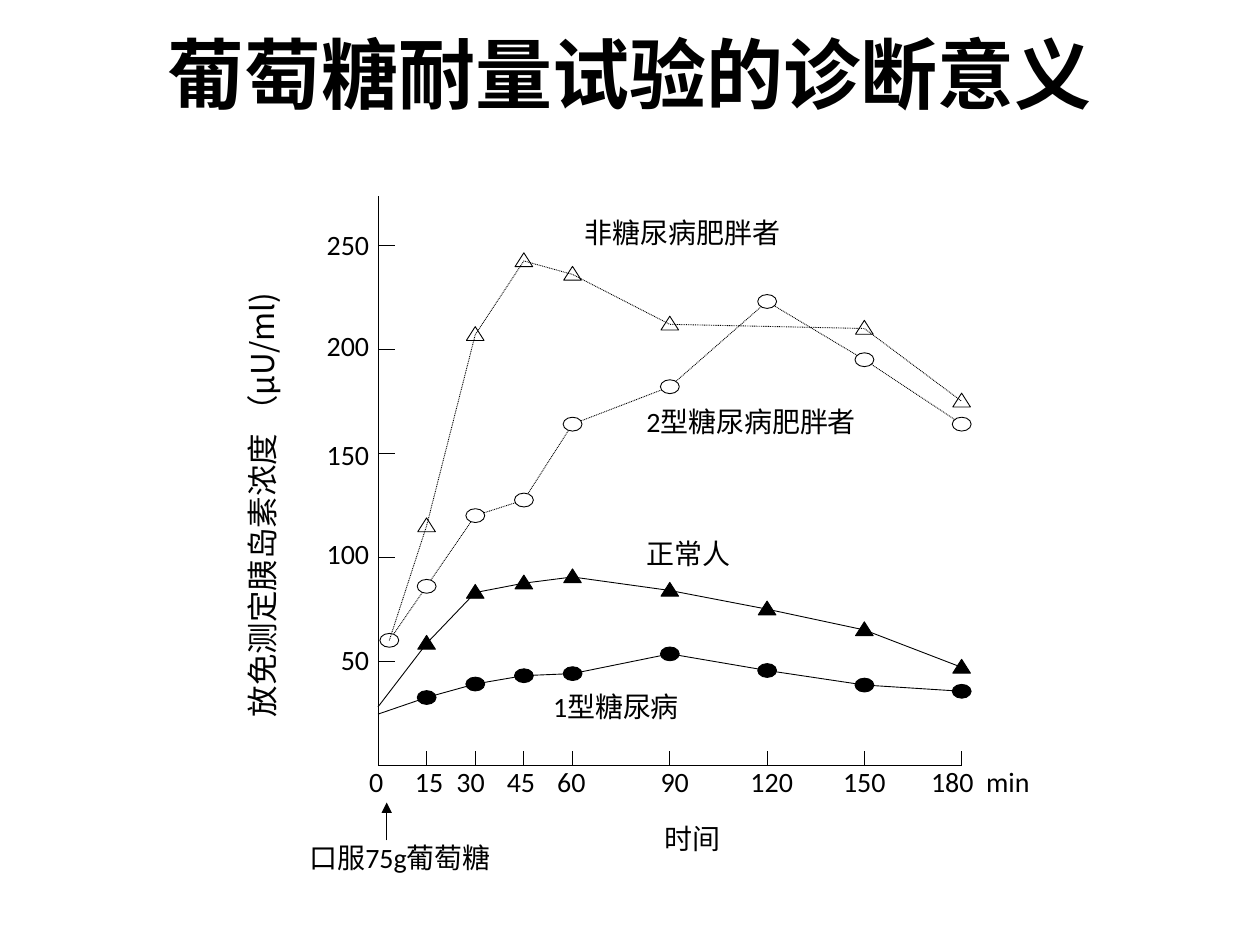
"""Build a slide plotting insulin response curves of the glucose tolerance test."""
from dataclasses import dataclass

from lxml import etree
from pptx import Presentation
from pptx.dml.color import RGBColor
from pptx.enum.dml import MSO_LINE
from pptx.enum.lang import MSO_LANGUAGE_ID
from pptx.enum.shapes import MSO_CONNECTOR, MSO_SHAPE
from pptx.enum.text import MSO_ANCHOR, PP_ALIGN
from pptx.oxml.ns import qn
from pptx.util import Pt

LEFT, CENTER, RIGHT = PP_ALIGN.LEFT, PP_ALIGN.CENTER, PP_ALIGN.RIGHT
TOP, MIDDLE = MSO_ANCHOR.TOP, MSO_ANCHOR.MIDDLE
OVAL, TRIANGLE = MSO_SHAPE.OVAL, MSO_SHAPE.ISOSCELES_TRIANGLE
STRAIGHT = MSO_CONNECTOR.STRAIGHT
DOTTED = MSO_LINE.ROUND_DOT
CHINESE = MSO_LANGUAGE_ID.SIMPLIFIED_CHINESE


@dataclass(frozen=True)
class Theme:
    ink: RGBColor = RGBColor(0, 0, 0)
    paper: RGBColor = RGBColor(255, 255, 255)
    font: str = "Calibri"
    axis_font: str = "Arial"
    unit_font: str = "Noto Sans CJK SC"
    title_size: float = 44
    axis_size: float = 18
    label_size: float = 16
    line_width: float = 0.5


@dataclass(frozen=True)
class Label:
    text: str
    left: float
    top: float
    width: float
    height: float = 21.6
    align: PP_ALIGN = LEFT


@dataclass(frozen=True)
class Curve:
    points: tuple
    marker: MSO_SHAPE
    filled: bool
    dotted: bool
    marks_start: bool = False


THEME = Theme()
ORIGIN_X, ORIGIN_Y = 216, 437.2
POINTS_PER_MINUTE, POINTS_PER_UNIT = 1.853, 1.188
AXIS_TOP, AXIS_RIGHT = 112.3, 550
TICK_WIDTH, TICK_HEIGHT = 10, 8
MARKER_SIZES = {OVAL: (10.8, 7.9), TRIANGLE: (10.1, 7.9)}
TRIANGLE_LIFT = 0.7

MINUTES = (15, 30, 45, 60, 90, 120, 150, 180)
TIMES = (0, *MINUTES)
EARLY = 3.5

TYPE_2 = Curve(tuple(zip((EARLY, *MINUTES), (60, 86, 120, 127.5, 164, 182, 223, 195, 164))),
               OVAL, False, True, True)
TYPE_1 = Curve(tuple(zip(TIMES, (24.5, 32.5, 39, 43, 44, 53.5, 45.5, 38.5, 35.5))),
               OVAL, True, False)
NORMAL = Curve(tuple(zip(TIMES, (28, 58.5, 83, 87.5, 90.5, 84, 75, 65, 47))),
               TRIANGLE, True, False)
OBESE = Curve(((EARLY, 60), (15, 115), (30, 207), (45, 242.5), (60, 236),
               (90, 212), (150, 210), (180, 175)), TRIANGLE, False, True)

TIME_LABELS = [Label(text, center - 18, 437, 36, align=CENTER) for text, center in (
    ("15", 245.2), ("30", 268.9), ("45", 297.7), ("60", 326.5), ("90", 385.6),
    ("120", 441), ("150", 493.9), ("180", 544.2))]
VALUE_LABELS = [Label(text, 180.7, top, 30.2, align=RIGHT) for text, top in (
    ("50", 367.2), ("100", 306.7), ("150", 249.8), ("200", 187.9), ("250", 130.3))]
OTHER_LABELS = [
    Label("0", 211, 437, 17.3),
    Label("min", 563.5, 437, 50.7),
    Label("非糖尿病肥胖者", 334.1, 123.1, 140.4),
    Label("2型糖尿病肥胖者", 369.4, 231.1, 140.4),
    Label("正常人", 369.4, 306.7, 70.6),
    Label("1型糖尿病", 316.1, 393.8, 140.4),
    Label("口服75g葡萄糖", 158.4, 480.2, 140.4, align=CENTER),
    Label("时间", 369.4, 469.4, 52.6, align=CENTER),
]


def place(minute: float, value: float) -> tuple[float, float]:
    return ORIGIN_X + minute * POINTS_PER_MINUTE, ORIGIN_Y - value * POINTS_PER_UNIT


def style_span(span, size: float, font: str, bold: bool = False) -> None:
    span.font.size = Pt(size)
    span.font.name = font
    span.font.bold = bold
    span.font.color.rgb = THEME.ink
    span.font.language_id = CHINESE


def add_label(page, label: Label, size: float = THEME.label_size,
              bold: bool = False, anchor: MSO_ANCHOR = TOP) -> None:
    box = page.shapes.add_textbox(Pt(label.left), Pt(label.top), Pt(label.width), Pt(label.height))
    frame = box.text_frame
    frame.margin_left = frame.margin_right = frame.margin_top = frame.margin_bottom = 0
    frame.word_wrap = True
    frame.vertical_anchor = anchor
    frame.text = label.text
    para = frame.paragraphs[0]
    para.alignment = label.align
    style_span(para.runs[0], size, THEME.font, bold)


def add_axis_title(page) -> None:
    box = page.shapes.add_textbox(Pt(17.3), Pt(270), Pt(265), Pt(28.8))
    box.rotation = 270
    box.text_frame.word_wrap = False
    para = box.text_frame.paragraphs[0]
    for text, font in (("放免测定胰岛素浓度 （", THEME.axis_font), ("μU/ml)", THEME.unit_font)):
        span = para.add_run()
        span.text = text
        style_span(span, THEME.axis_size, font)


def style_line(line) -> None:
    line.color.rgb = THEME.ink
    line.width = Pt(THEME.line_width)


def add_line(page, start: tuple[float, float], end: tuple[float, float], arrow: bool = False) -> None:
    line = page.shapes.add_connector(STRAIGHT, *map(Pt, (*start, *end)))
    style_line(line.line)
    if arrow:
        etree.SubElement(line.line._get_or_add_ln(), qn("a:tailEnd"), type="triangle")
    etree.SubElement(line._element.spPr, qn("a:effectLst"))


def add_curve(page, curve: Curve) -> None:
    start, *rest = [tuple(map(Pt, place(*point))) for point in curve.points]
    builder = page.shapes.build_freeform(*start)
    builder.add_line_segments(rest, close=False)
    outline = builder.convert_to_shape()
    outline.shadow.inherit = False
    outline.fill.background()
    style_line(outline.line)
    if curve.dotted:
        outline.line.dash_style = DOTTED


def add_markers(page, curve: Curve) -> None:
    width, height = MARKER_SIZES[curve.marker]
    lift = TRIANGLE_LIFT if curve.marker == TRIANGLE else 0
    for point in curve.points if curve.marks_start else curve.points[1:]:
        x, y = place(*point)
        marker = page.shapes.add_shape(curve.marker, Pt(x - width / 2), Pt(y - height / 2 - lift),
                                       Pt(width), Pt(height))
        marker.shadow.inherit = False
        marker.fill.solid()
        marker.fill.fore_color.rgb = THEME.ink if curve.filled else THEME.paper
        style_line(marker.line)


def add_axes(page) -> None:
    add_line(page, (ORIGIN_X, ORIGIN_Y), (AXIS_RIGHT, ORIGIN_Y))
    add_line(page, (ORIGIN_X, AXIS_TOP), (ORIGIN_X, ORIGIN_Y))
    for minute in MINUTES:
        x, y = place(minute, 0)
        add_line(page, (x, y - TICK_HEIGHT), (x, y))
    for value in range(50, 251, 50):
        x, y = place(0, value)
        add_line(page, (x, y), (x + TICK_WIDTH, y))


def main() -> None:
    deck = Presentation()
    deck.slide_width, deck.slide_height = Pt(720), Pt(540)
    page = deck.slides.add_slide(deck.slide_layouts[6])
    add_curve(page, TYPE_2)
    add_axes(page)
    for curve in (TYPE_1, TYPE_2, NORMAL, OBESE):
        add_markers(page, curve)
    for curve in (TYPE_1, NORMAL, OBESE):
        add_curve(page, curve)
    add_line(page, (221, 480.2), (221, 458.6), arrow=True)
    for label in TIME_LABELS + VALUE_LABELS + OTHER_LABELS:
        add_label(page, label)
    title = Label("葡萄糖耐量试验的诊断意义", 0, 0, 720, 82.8, CENTER)
    add_label(page, title, THEME.title_size, bold=True, anchor=MIDDLE)
    add_axis_title(page)
    deck.save("out.pptx")


if __name__ == "__main__":
    main()
